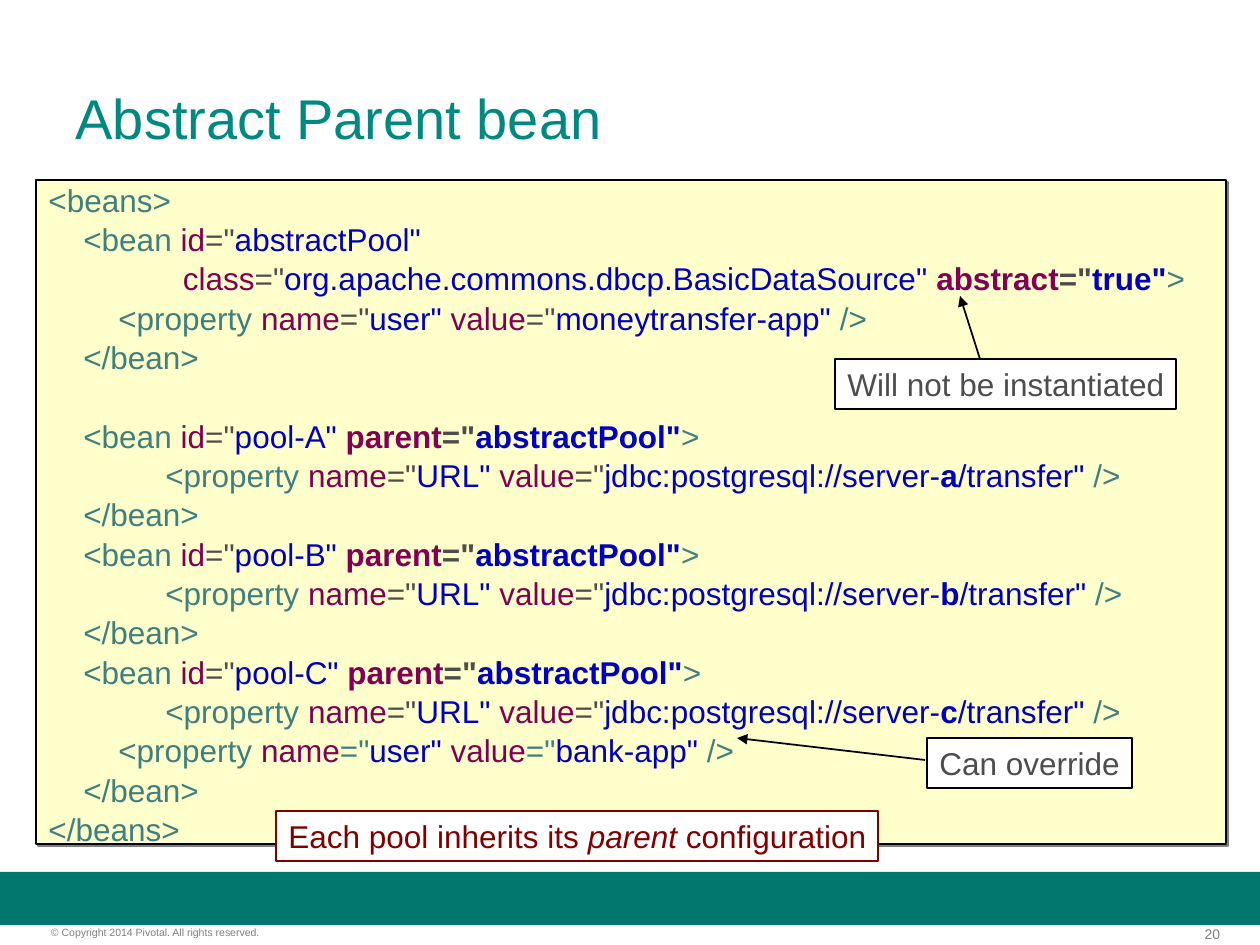
from typing import NamedTuple

from lxml.etree import SubElement
from pptx import Presentation
from pptx.dml.color import RGBColor
from pptx.enum.shapes import MSO_CONNECTOR, MSO_SHAPE
from pptx.enum.text import MSO_ANCHOR, PP_ALIGN
from pptx.oxml.ns import qn
from pptx.util import Emu, Pt

EMU_PER_PX = 914400 / 126
FONT = "Arial"
TAG, ATTRIBUTE, VALUE, GREY = "3F7F7F", "7F0055", "0000C0", "4D4D4D"
BLACK, WHITE, MAROON, FOOTER = "000000", "FFFFFF", "800000", "7F7F7F"


class Span(NamedTuple):
    text: str
    color: str = TAG
    bold: bool = False
    italic: bool = False


class Line(NamedTuple):
    spans: list[Span]
    hanging: bool = True


class Note(NamedTuple):
    bounds: tuple[int, int, int, int]
    border: str
    spans: list[Span]


class Arrow(NamedTuple):
    start: tuple[int, int]
    end: tuple[int, int]


def px(value: int) -> Emu:
    return Emu(round(value * EMU_PER_PX))


def rgb(color: str) -> RGBColor:
    return RGBColor.from_string(color)


def attribute(name: str, value: str, bold: bool = False, equals: str = GREY) -> list[Span]:
    return [Span(name, ATTRIBUTE, bold), Span('="', equals, bold), Span(value, VALUE, bold)]


def pool(letter: str) -> list[Line]:
    """Opening tag and URL property of one child bean."""
    return [
        Line([Span("    <bean "), *attribute("id", f'pool-{letter}" '),
              *attribute("parent", 'abstractPool"', bold=True), Span(">")]),
        Line([Span("        <property "), *attribute("name", 'URL" '),
              *attribute("value", "jdbc:postgresql://server-"),
              Span(letter.lower(), VALUE, True), Span('/transfer" ', VALUE),
              Span("/>")], hanging=False),
    ]


def user_property(value: str, equals: str = GREY) -> Line:
    return Line([Span("        <property "), *attribute("name", 'user" ', equals=equals),
                 *attribute("value", f'{value}" ', equals=equals), Span("/>")])


END_BEAN = Line([Span("    </bean>")])
CODE = [
    Line([Span("<beans>")]),
    Line([Span("    <bean "), *attribute("id", 'abstractPool"')]),
    Line([Span("          "),
          *attribute("class", 'org.apache.commons.dbcp.BasicDataSource" '),
          *attribute("abstract", 'true"', bold=True), Span(">")], hanging=False),
    user_property("moneytransfer-app"),
    END_BEAN,
    Line([]),
    *pool("A"), END_BEAN,
    *pool("B"), END_BEAN,
    *pool("C"), user_property("bank-app", TAG), END_BEAN,
    Line([Span("</beans>")]),
]

NOTES = [
    Note((835, 359, 341, 50), BLACK, [Span("Will not be instantiated", GREY)]),
    Note((276, 811, 602, 50), MAROON,
         [Span("Each pool inherits its ", MAROON), Span("parent", MAROON, italic=True),
          Span(" configuration", MAROON)]),
    Note((927, 738, 205, 50), BLACK, [Span("Can override", GREY)]),
]
ARROWS = [Arrow((980, 359), (960, 296)), Arrow((925, 760), (737, 738))]


def write(para, spans: list[Span], size: int = 18) -> None:
    for span in spans:
        run = para.add_run()
        run.text = span.text
        run.font.name = FONT
        run.font.size = Pt(size)
        run.font.color.rgb = rgb(span.color)
        run.font.bold = span.bold
        run.font.italic = span.italic


def add_box(page, bounds: tuple[int, int, int, int], fill: str,
            border: str = "", width: float = 0.75):
    box = page.shapes.add_shape(MSO_SHAPE.RECTANGLE, *map(px, bounds))
    box.fill.solid()
    box.fill.fore_color.rgb = rgb(fill)
    if border:
        box.line.color.rgb = rgb(border)
        box.line.width = Pt(width)
    else:
        box.line.fill.background()
    box.shadow.inherit = False
    return box


def add_footer(page, bounds: tuple[int, int, int, int], text: str, size: int, align) -> None:
    frame = page.shapes.add_textbox(*map(px, bounds)).text_frame
    frame.word_wrap = True
    frame.margin_left = frame.margin_right = frame.margin_top = frame.margin_bottom = 0
    frame.paragraphs[0].alignment = align
    write(frame.paragraphs[0], [Span(text, FOOTER)], size)


def add_code(page) -> None:
    box = add_box(page, (36, 180, 1190, 664), "FFFFCC", BLACK, 1)
    shadow = SubElement(box._element.spPr.find(qn("a:effectLst")), qn("a:outerShdw"),
                        dist=str(Pt(1.4)), dir="2700000", algn="ctr", rotWithShape="0")
    SubElement(shadow, qn("a:srgbClr"), val="808080")
    frame = box.text_frame
    frame.word_wrap = True
    frame.vertical_anchor = MSO_ANCHOR.TOP
    frame.margin_top = px(8)
    for index, line in enumerate(CODE):
        para = frame.add_paragraph() if index else frame.paragraphs[0]
        para.alignment = PP_ALIGN.LEFT
        para.line_spacing = 0.8
        if index:
            para.space_before = Pt(5.2)
        indent = px(47)
        properties = para._p.get_or_add_pPr()
        properties.set("marL", str(indent))
        properties.set("indent", str(-indent if line.hanging else 0))
        write(para, line.spans)
        if not line.spans:
            SubElement(para._p, qn("a:endParaRPr"), sz="1800")


def add_note(page, note: Note) -> None:
    frame = add_box(page, note.bounds, WHITE, note.border).text_frame
    frame.word_wrap = False
    frame.vertical_anchor = MSO_ANCHOR.TOP
    frame.paragraphs[0].alignment = PP_ALIGN.LEFT
    write(frame.paragraphs[0], note.spans)


def add_arrow(page, arrow: Arrow) -> None:
    connector = page.shapes.add_connector(
        MSO_CONNECTOR.STRAIGHT, *map(px, arrow.start + arrow.end))
    connector.line.color.rgb = rgb(BLACK)
    connector.line.width = Pt(1)
    SubElement(connector.line._get_or_add_ln(), qn("a:tailEnd"), type="triangle")
    SubElement(connector._element.spPr, qn("a:effectLst"))


def main() -> None:
    deck = Presentation()
    deck.slide_width, deck.slide_height = px(1260), px(945)
    page = deck.slides.add_slide(deck.slide_layouts[5])

    # Title
    title = page.shapes.title
    title.left, title.top, title.width, title.height = map(px, (63, 38, 1134, 158))
    title.text_frame.vertical_anchor = MSO_ANCHOR.MIDDLE
    title.text_frame.paragraphs[0].alignment = PP_ALIGN.LEFT
    write(title.text_frame.paragraphs[0], [Span("Abstract Parent bean", "008881")], 32)

    # Footer
    add_box(page, (0, 872, 1260, 53), "00786E")
    add_footer(page, (1176, 926, 73, 16), "20", 8, PP_ALIGN.CENTER)
    add_footer(page, (51, 926, 314, 13),
               "© Copyright 2014 Pivotal. All rights reserved.", 6, PP_ALIGN.LEFT)

    # Code with its notes
    add_code(page)
    for arrow in ARROWS:
        add_arrow(page, arrow)
    for note in NOTES:
        add_note(page, note)

    deck.save("out.pptx")


if __name__ == "__main__":
    main()
